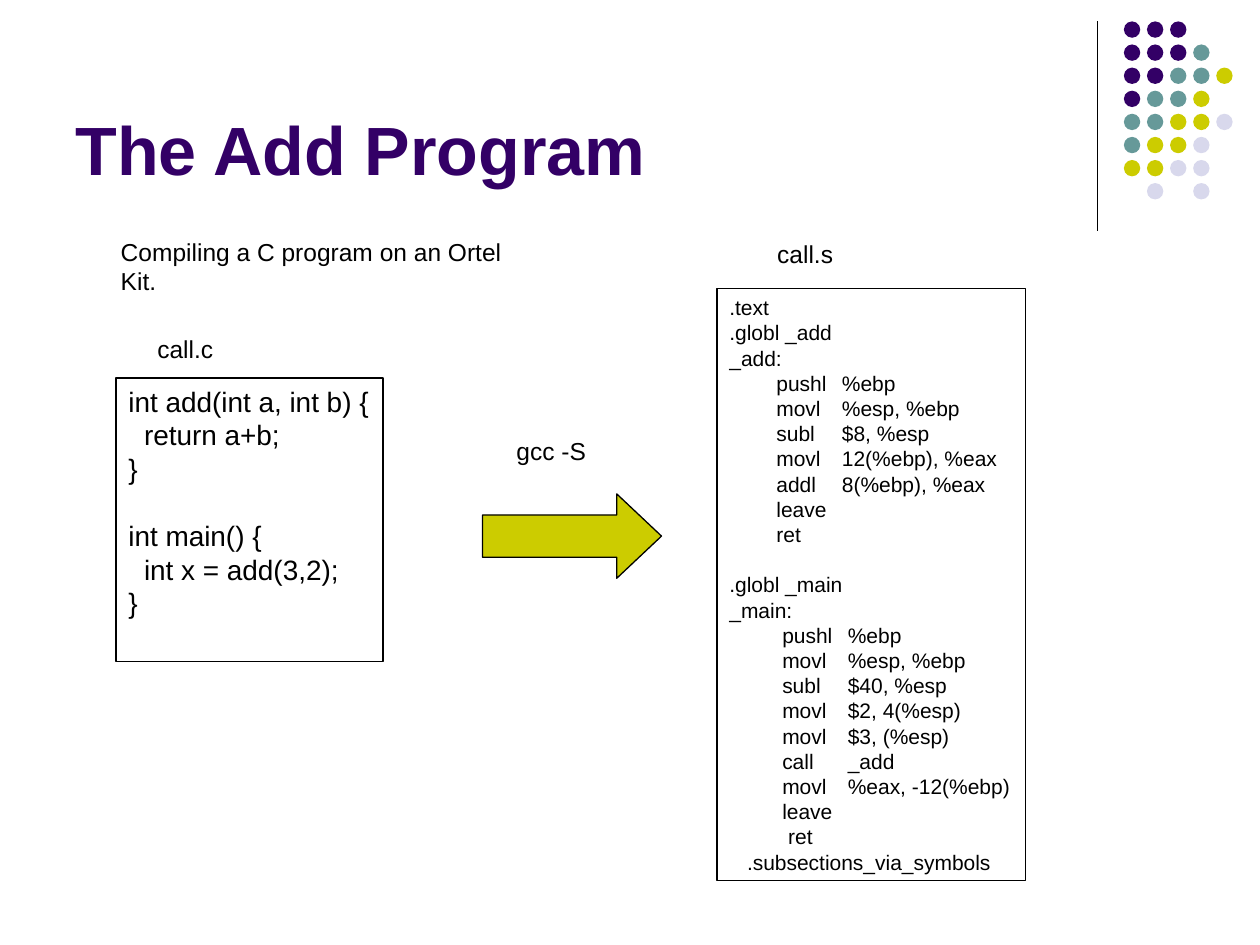
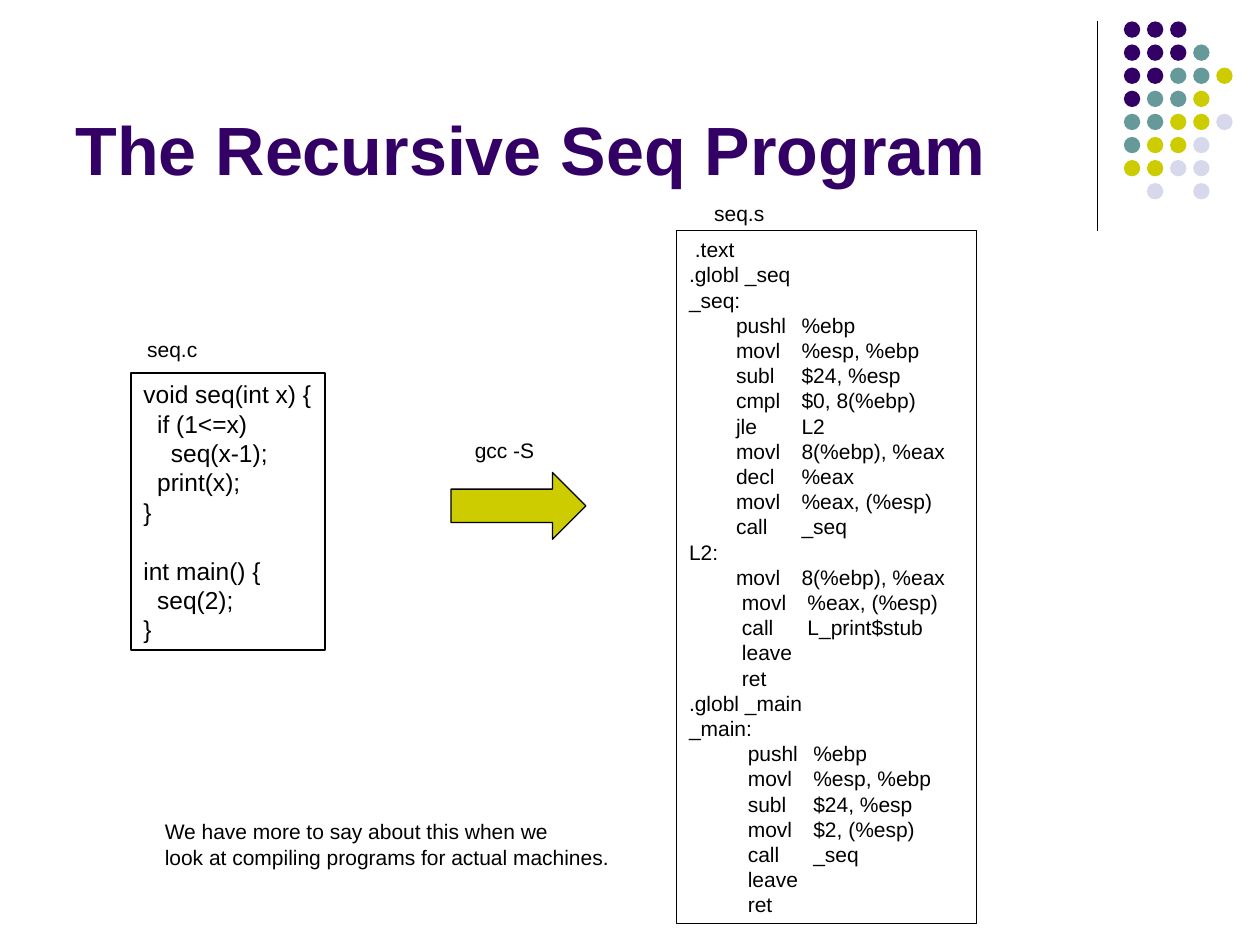
from pptx import Presentation
from pptx.dml.color import RGBColor
from pptx.enum.shapes import MSO_CONNECTOR as Connector, MSO_SHAPE as Shape
from pptx.enum.text import MSO_ANCHOR as Anchor, MSO_AUTO_SIZE as AutoSize, PP_ALIGN as Align
from pptx.oxml.ns import qn
from pptx.util import Inches, Pt
from lxml import etree

COLOURS = {
    "purple": "330066",
    "teal": "669999",
    "lime": "CCCC00",
    "lilac": "D8D8EC",
    "black": "000000",
}
FONT = "Arial"
LINE_HEIGHT = 1.2      # line pitch as a multiple of the text size
SPACE_WIDTH = 0.28     # width of one space as a multiple of the text size
OPERAND_GAP = 0.52     # inches from an instruction to its operands

# Dot ornament: one letter per dot, one string per row
DOT_ROWS = ["ppp", "pppt", "ppttl", "pttl", "ttlli", "tlli", "llii", " i i"]
DOT_COLOURS = {"p": "purple", "t": "teal", "l": "lime", "i": "lilac"}
DOT_PITCH = 0.55 / 3

# Programs: leading spaces give the depth, an empty line gives a gap
CALL_C = """\
int add(int a, int b) {
  return a+b;
}

int main() {
  int x = add(3,2);
}"""

CALL_S = """\
.text
.globl _add
_add:
        pushl %ebp
        movl %esp, %ebp
        subl $8, %esp
        movl 12(%ebp), %eax
        addl 8(%ebp), %eax
        leave
        ret

.globl _main
_main:
         pushl %ebp
         movl %esp, %ebp
         subl $40, %esp
         movl $2, 4(%esp)
         movl $3, (%esp)
         call _add
         movl %eax, -12(%ebp)
         leave
          ret
   .subsections_via_symbols"""

SEQ_C = """\
void seq(int x) {
  if (1<=x)
    seq(x-1);
  print(x);
}

int main() {
  seq(2);
}"""

SEQ_S = """\
 .text
.globl _seq
_seq:
        pushl %ebp
        movl %esp, %ebp
        subl $24, %esp
        cmpl $0, 8(%ebp)
        jle L2
        movl 8(%ebp), %eax
        decl %eax
        movl %eax, (%esp)
        call _seq
L2:
        movl 8(%ebp), %eax
         movl %eax, (%esp)
         call L_print$stub
         leave
         ret
.globl _main
_main:
          pushl %ebp
          movl %esp, %ebp
          subl $24, %esp
          movl $2, (%esp)
          call _seq
          leave
          ret"""


def colour(name):
    return RGBColor.from_string(COLOURS[name])


def write(paragraph, text, size=14, ink="black", bold=False, pitch=None, gap_before=0):
    """Put formatted, left-aligned text into a paragraph."""
    paragraph.text = text
    paragraph.alignment = Align.LEFT
    paragraph.space_before = Pt(gap_before)
    if pitch:
        paragraph.line_spacing = Pt(size * pitch)
    for run in paragraph.runs:
        run.font.name = FONT
        run.font.size = Pt(size)
        run.font.bold = bold
        run.font.color.rgb = colour(ink)


def set_tab_stops(paragraph, positions):
    tab_list = etree.SubElement(paragraph._p.get_or_add_pPr(), qn("a:tabLst"))
    for position in positions:
        etree.SubElement(tab_list, qn("a:tab"), pos=str(int(position)), algn="l")


class Deck:
    """Holds the presentation, its shared style and the current slide."""

    def __init__(self):
        self.presentation = Presentation()
        self.presentation.slide_width = Inches(10)
        self.presentation.slide_height = Inches(7.5)
        self.slide = None

    def add_slide(self, title):
        layout = self.presentation.slide_layouts[5]
        self.slide = self.presentation.slides.add_slide(layout)
        self.ornament()
        shape = self.slide.shapes.title
        shape.left, shape.top = Inches(0.5), Inches(0.13)
        shape.width, shape.height = Inches(8.25), Inches(1.42)
        frame = shape.text_frame
        frame.vertical_anchor = Anchor.BOTTOM
        frame.auto_size = AutoSize.NONE
        write(frame.paragraphs[0], title, size=39, ink="purple", bold=True)

    def ornament(self):
        rule = self.slide.shapes.add_connector(
            Connector.STRAIGHT, Inches(8.71), Inches(0.17), Inches(8.71), Inches(1.83))
        rule.line.color.rgb = colour("black")
        rule.line.width = Pt(0.75)
        etree.SubElement(rule._element.spPr, qn("a:effectLst"))
        for row, dots in enumerate(DOT_ROWS):
            for column, dot in enumerate(dots):
                if dot in DOT_COLOURS:
                    left, top = 8.92 + column * DOT_PITCH, 0.17 + row * DOT_PITCH
                    self.shape(Shape.OVAL, left, top, 0.13, 0.13, fill=DOT_COLOURS[dot])

    def shape(self, kind, left, top, width, height, fill=None, outline=None):
        shape = self.slide.shapes.add_shape(
            kind, Inches(left), Inches(top), Inches(width), Inches(height))
        shape.shadow.inherit = False
        if fill:
            shape.fill.solid()
            shape.fill.fore_color.rgb = colour(fill)
        else:
            shape.fill.background()
        if outline:
            shape.line.color.rgb = colour(outline)
            shape.line.width = Pt(0.75)
        else:
            shape.line.fill.background()
        return shape

    def arrow(self, left, top, width, height, head):
        arrow = self.shape(Shape.RIGHT_ARROW, left, top, width, height, "lime", "black")
        arrow.adjustments[0] = 0.5
        arrow.adjustments[1] = head

    def label(self, text, left, top, width, height, size=14):
        box = self.slide.shapes.add_textbox(
            Inches(left), Inches(top), Inches(width), Inches(height))
        frame = box.text_frame
        frame.word_wrap = True
        frame.margin_right = 0
        write(frame.paragraphs[0], text, size=size, pitch=LINE_HEIGHT)

    def code(self, program, left, top, width, height, size, assembly=False):
        """Outlined listing; tab stops set the depth and the operand column."""
        box = self.shape(Shape.RECTANGLE, left, top, width, height, outline="black")
        frame = box.text_frame
        frame.word_wrap = True
        frame.vertical_anchor = Anchor.TOP
        frame.margin_right = 0
        paragraph, gap = frame.paragraphs[0], 0
        for number, line in enumerate(program.splitlines()):
            if not line:
                gap = size * LINE_HEIGHT
                continue
            if number:
                paragraph = frame.add_paragraph()
            text = line.lstrip()
            depth = len(line) - len(text)
            if depth and assembly:
                text = text.replace(" ", "\t", 1)
            if depth:
                text = "\t" + text
            write(paragraph, text, size=size, pitch=LINE_HEIGHT, gap_before=gap)
            if depth:
                start = Pt(depth * size * SPACE_WIDTH)
                set_tab_stops(paragraph, [start, start + Inches(OPERAND_GAP)])
            gap = 0


def main():
    deck = Deck()

    # Add program
    deck.add_slide("The Add Program")
    deck.code(CALL_C, 0.92, 3, 2.12, 2.25, size=16)
    deck.code(CALL_S, 5.69, 2.29, 2.45, 4.7, size=12, assembly=True)
    deck.arrow(3.83, 3.92, 1.42, 0.67, head=0.53)
    deck.label("gcc -S", 4, 3.41, 0.75, 0.33)
    deck.label("call.c", 1.15, 2.6, 0.7, 0.33)
    deck.label("call.s", 6.07, 1.85, 0.7, 0.33)
    deck.label("Compiling a C program on an Ortel Kit.", 0.86, 1.83, 3.25, 0.57)

    # Recursive program
    deck.add_slide("The Recursive Seq Program")
    deck.code(SEQ_C, 1.04, 2.96, 1.54, 2.2, size=14)
    deck.arrow(3.58, 3.75, 1.07, 0.53, head=0.5)
    deck.code(SEQ_S, 5.37, 1.83, 2.38, 5.5, size=12, assembly=True)
    deck.label("seq.c", 1.07, 2.62, 0.6, 0.3, size=12)
    deck.label("seq.s", 5.57, 1.54, 0.6, 0.3, size=12)
    deck.label("gcc -S", 3.67, 3.42, 0.67, 0.3, size=12)
    deck.label("We have more to say about this when we\v"
               "look at compiling programs for actual machines.",
               1.21, 6.45, 3.77, 0.5, size=12)

    deck.presentation.save("out.pptx")


if __name__ == "__main__":
    main()
